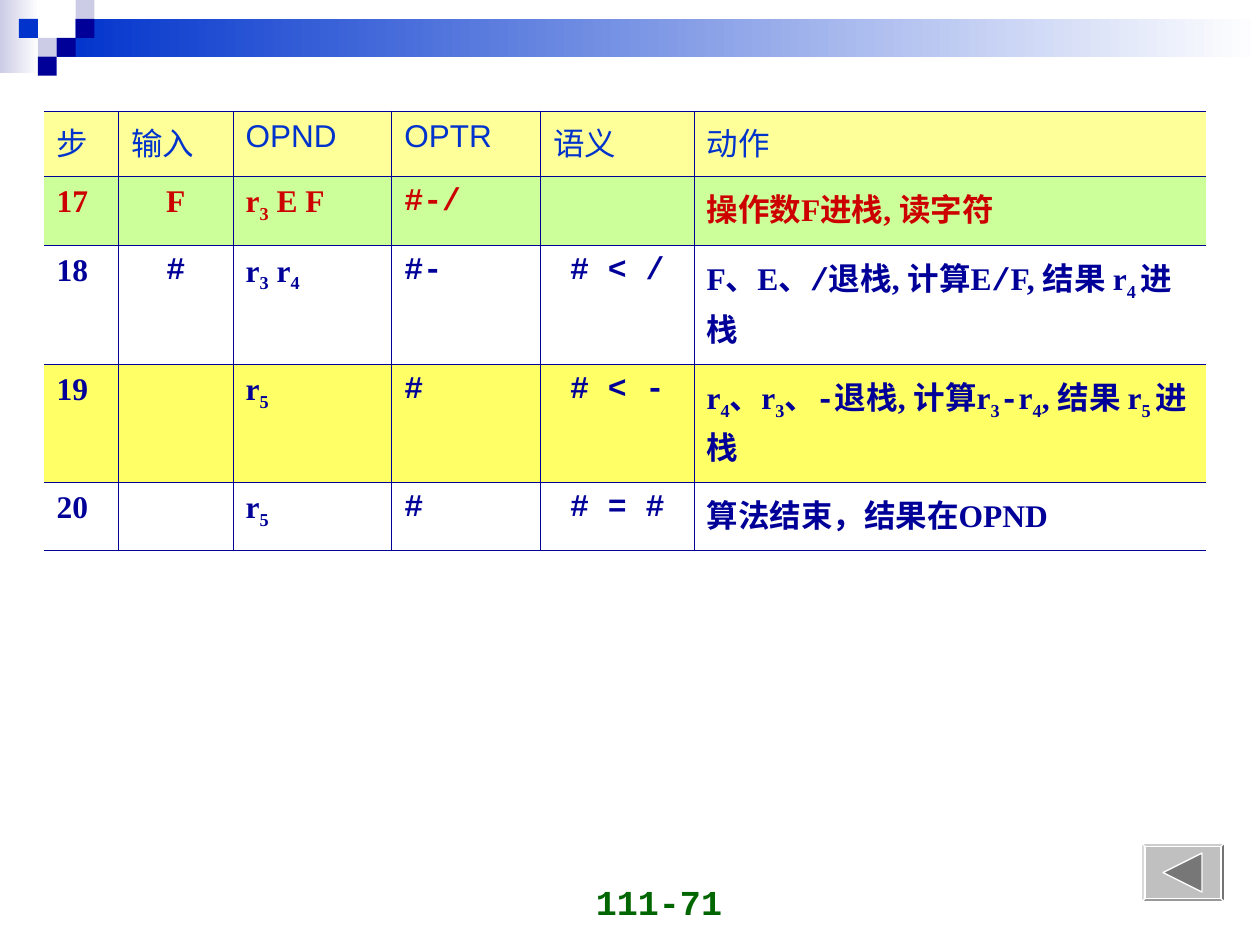
"""Build a slide tracing the last steps of an operator-precedence evaluation."""
from lxml import etree
from pptx import Presentation
from pptx.dml.color import RGBColor
from pptx.enum.shapes import MSO_SHAPE
from pptx.enum.text import MSO_ANCHOR, PP_ALIGN
from pptx.oxml.ns import qn
from pptx.util import Inches, Pt

RECT, BEVEL = MSO_SHAPE.RECTANGLE, MSO_SHAPE.BEVEL
ARROW = MSO_SHAPE.ISOSCELES_TRIANGLE
LEFT, MID, RIGHT = PP_ALIGN.LEFT, PP_ALIGN.CENTER, PP_ALIGN.RIGHT
BOTTOM = MSO_ANCHOR.BOTTOM
WHITE = RGBColor(0xFF, 0xFF, 0xFF)
NAVY = RGBColor(0x00, 0x00, 0x99)
BLUE = RGBColor(0x00, 0x33, 0xCC)
LILAC = RGBColor(0xCC, 0xCC, 0xE6)
RED = RGBColor(0xCC, 0x00, 0x00)
GREEN = RGBColor(0x00, 0x66, 0x00)
SILVER = RGBColor(0xC0, 0xC0, 0xC0)
GRAY = RGBColor(0x77, 0x77, 0x77)
CREAM = RGBColor(0xFF, 0xFF, 0x99)
LIME = RGBColor(0xCC, 0xFF, 0x99)
YELLOW = RGBColor(0xFF, 0xFF, 0x66)
SANS, SERIF, MONO = "Arial", "Times New Roman", "Courier New"
UNIT = 0.15


def draw(kind, box, paint, edge=None):
    item = slide.shapes.add_shape(kind, *[Inches(n) for n in box])
    item.shadow.inherit = False
    if isinstance(paint, list):
        item.fill.gradient()
        item.fill.gradient_angle = 0
        for stop, tone in zip(item.fill.gradient_stops, paint):
            stop.color.rgb = tone
    else:
        item.fill.solid()
        item.fill.fore_color.rgb = paint
    if edge is None:
        item.line.fill.background()
    else:
        item.line.color.rgb = edge
        item.line.width = Pt(0.75)
    return item


def write(para, text, look, tone):
    run = para.add_run()
    run.text = text
    for name, value in look.items():
        setattr(run.font, name, value)
    run.font.color.rgb = tone
    return run


deck = Presentation()
deck.slide_width, deck.slide_height = Inches(10), Inches(7.5)
slide = deck.slides.add_slide(deck.slide_layouts[6])

draw(RECT, (0, 0, 0.31, 0.58), [LILAC, WHITE])
draw(RECT, (3 * UNIT, UNIT, 10 - 3 * UNIT, 2 * UNIT), [BLUE, WHITE])
for col, row, tone in [(3, 1, WHITE), (4, 0, LILAC), (4, 1, NAVY), (2, 2, LILAC),
                       (1, 1, BLUE), (3, 2, NAVY), (2, 3, NAVY)]:
    draw(RECT, (col * UNIT, row * UNIT, UNIT, UNIT), tone)

page = slide.shapes.add_textbox(Inches(3.5), Inches(6.87), Inches(2.33), Inches(0.5))
frame = page.text_frame
frame.word_wrap = True
frame.vertical_anchor = BOTTOM
frame.paragraphs[0].alignment = RIGHT
write(frame.paragraphs[0], "111-71", {"name": MONO, "size": Pt(20), "bold": True}, GREEN)

back = draw(BEVEL, (9.06, 6.69, 0.66, 0.47), SILVER, WHITE)
back.adjustments[0] = 0.06
draw(ARROW, (9.23, 6.77, 0.31, 0.31), GRAY, WHITE).rotation = 270

ROWS = [
    (0.52, CREAM, BLUE, ["步", "输入", "OPND", "OPTR", "语义", "动作"]),
    (0.55, LIME, RED, ["17", "F", "r|_3| E F", "~#-/", "", "操作数F进栈, 读字符"]),
    (0.94, None, NAVY, ["18", "~#", "r|_3| r|_4", "~#-", "~# < /",
                        "F、E、|~/|退栈, 计算E|~/|F, 结果 r|_4 |进栈"]),
    (0.94, YELLOW, NAVY, ["19", "", "r|_5", "~#", "~# < -",
                          "r|_4|、r|_3|、|~-|退栈, 计算r|_3|~-|r|_4|, 结果 r|_5 |进栈"]),
    (0.54, None, NAVY, ["20", "", "r|_5", "~#", "~# = #", "算法结束，结果在OPND"]),
]
COLS = [0.59, 0.91, 1.26, 1.18, 1.22, 4.06]
ALIGN = [LEFT, MID, LEFT, LEFT, MID, LEFT]
last = len(COLS) - 1, len(ROWS) - 1

table = slide.shapes.add_table(len(ROWS), len(COLS), Inches(0.35), Inches(0.88),
                               Inches(sum(COLS)), Inches(3.49)).table
for col, width in enumerate(COLS):
    table.columns[col].width = Inches(width)

for row, (height, paint, tone, texts) in enumerate(ROWS):
    table.rows[row].height = Inches(height)
    for col, text in enumerate(texts):
        cell = table.cell(row, col)
        props = cell._tc.get_or_add_tcPr()
        thick = 1.08 if row == last[1] else 0.45
        for side, size in [("L", 0.45 if col else 0), ("R", 0.45 if col < last[0] else 0),
                           ("T", 0.45), ("B", thick)]:
            edge = etree.SubElement(props, qn("a:ln" + side), w=str(Pt(size)))
            if size:
                solid = etree.SubElement(edge, qn("a:solidFill"))
                etree.SubElement(solid, qn("a:srgbClr"), val=str(NAVY))
            else:
                etree.SubElement(edge, qn("a:noFill"))
        if paint is None:
            cell.fill.background()
        else:
            cell.fill.solid()
            cell.fill.fore_color.rgb = paint
        para = cell.text_frame.paragraphs[0]
        para.line_spacing = 1.05
        para.alignment = ALIGN[col] if row else LEFT
        for part in text.split("|") if text else []:
            face = SANS if row == 0 else MONO if part[0] == "~" else SERIF
            look = {"name": face, "size": Pt(18), "bold": row > 0}
            run = write(para, part.lstrip("_~"), look, tone)
            if part[0] == "_":
                run.font._element.set("baseline", "-25000")

deck.save("out.pptx")
